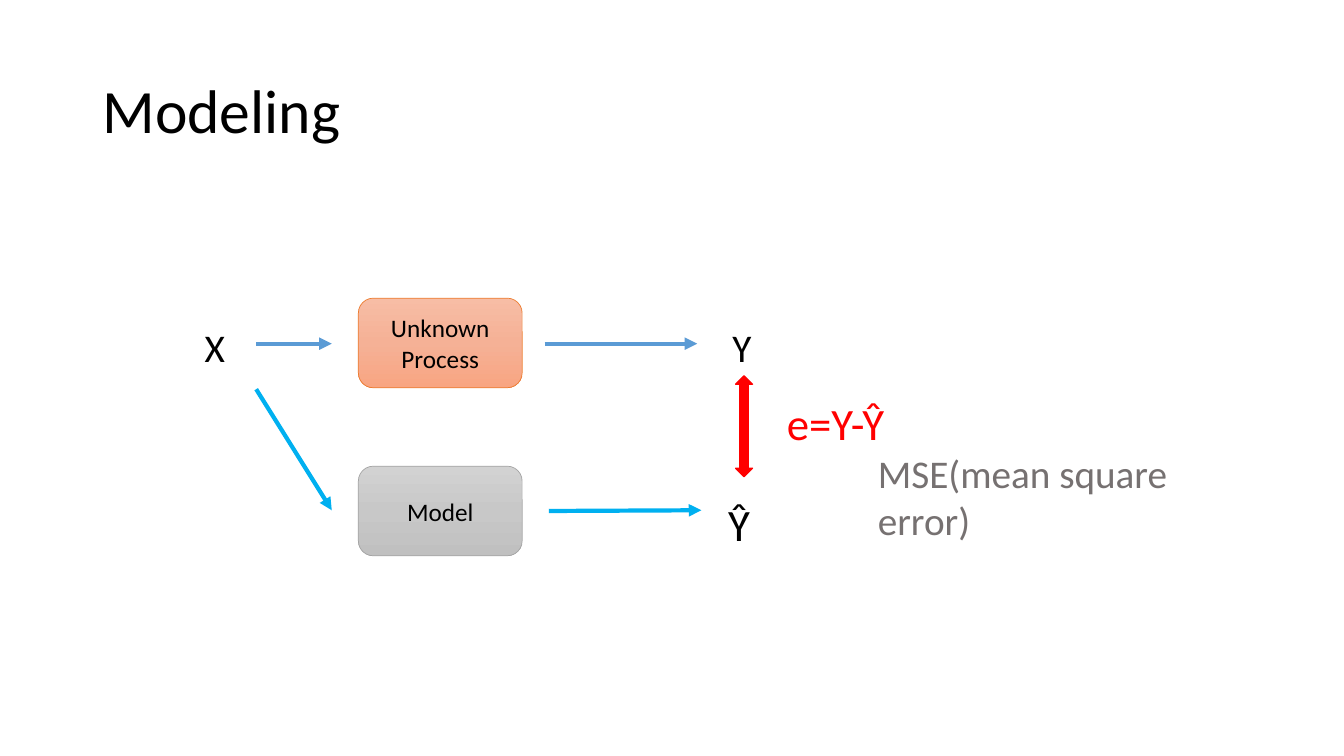
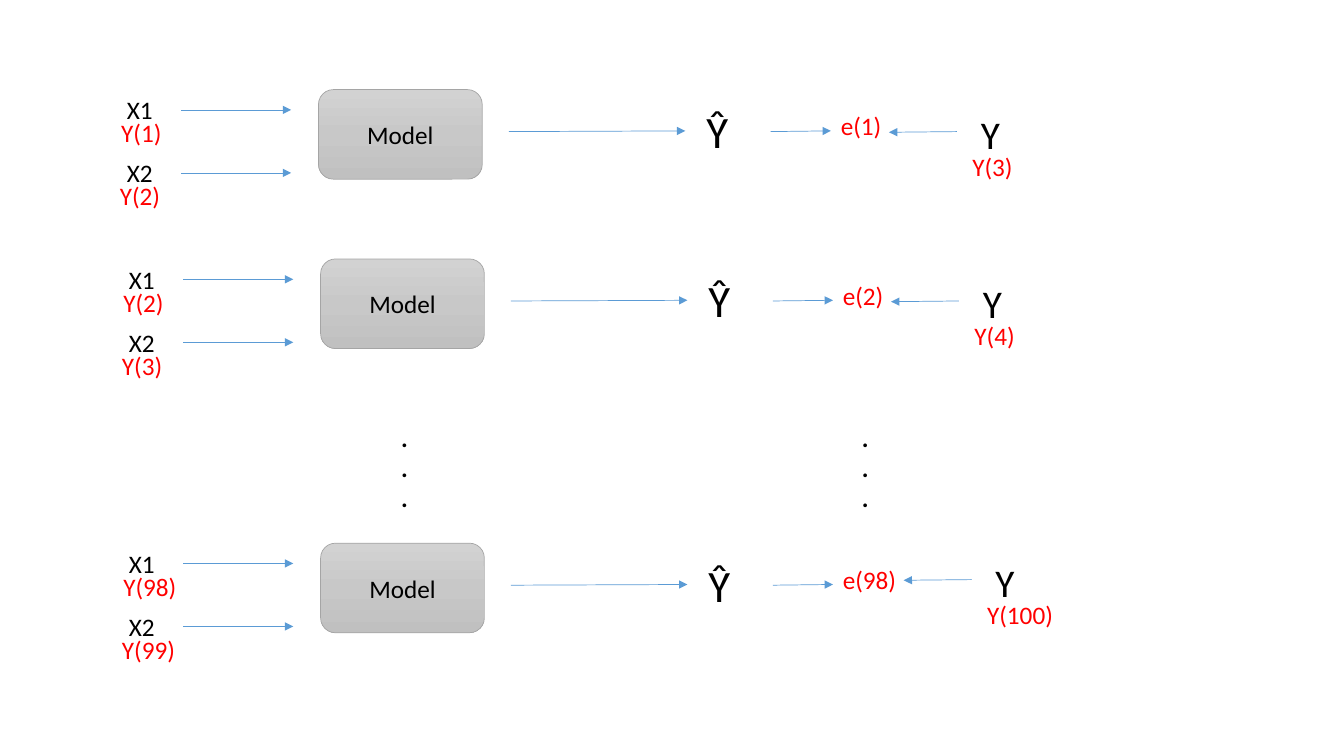
from copy import deepcopy

from pptx import Presentation
from pptx.dml.color import RGBColor
from pptx.enum.shapes import MSO_CONNECTOR as CONN, MSO_SHAPE as SHAPE
from pptx.enum.text import MSO_ANCHOR as ANCHOR, MSO_AUTO_SIZE as AUTO, PP_ALIGN as ALIGN
from pptx.oxml.ns import qn
from pptx.oxml.xmlchemy import OxmlElement
from pptx.util import Pt

BLACK = RGBColor(0x00, 0x00, 0x00)
RED = RGBColor(0xFF, 0x00, 0x00)
GRAY = RGBColor(0x76, 0x71, 0x71)
BLUE = RGBColor(0x5B, 0x9B, 0xD5)
SKY = RGBColor(0x00, 0xB0, 0xF0)
ORANGE_LINE = RGBColor(0xED, 0x7D, 0x31)
ORANGE_FILL = (RGBColor(0xF7, 0xBD, 0xA5), RGBColor(0xF5, 0xB1, 0x96), RGBColor(0xF8, 0xA5, 0x82))
SILVER_LINE = RGBColor(0xA5, 0xA5, 0xA5)
SILVER_FILL = (RGBColor(0xD2, 0xD2, 0xD2), RGBColor(0xC8, 0xC8, 0xC8), RGBColor(0xC0, 0xC0, 0xC0))

FONT = "Calibri"
BOX_W, BOX_H = 117, 64
TITLE_ONLY, BLANK = 5, 6


class Deck:
    """Holds the style and the current slide, and draws each kind of element."""

    def __init__(self):
        self.prs = Presentation()
        self.prs.slide_width, self.prs.slide_height = Pt(960), Pt(540)
        self.s = None

    def slide(self, title=None):
        layout = self.prs.slide_layouts[TITLE_ONLY if title else BLANK]
        self.s = self.prs.slides.add_slide(layout)
        if title:
            sp = self.s.shapes.title
            sp.left, sp.top, sp.width, sp.height = Pt(66), Pt(29), Pt(828), Pt(104)
            tf = sp.text_frame
            self.set_text(tf, title, 44, align=ALIGN.LEFT)
            tf.auto_size = AUTO.NONE
            tf.vertical_anchor = ANCHOR.MIDDLE
            tf.paragraphs[0].line_spacing = 0.9

    def set_text(self, tf, text, size, color=BLACK, align=None, bold=None):
        tf.text = text
        for p in tf.paragraphs:
            p.alignment = align
            for r in p.runs:
                r.font.name, r.font.size, r.font.bold = FONT, Pt(size), bold
                r.font.color.rgb = color

    def text(self, x, y, w, h, text, size=18, color=BLACK, wrap=False, bold=None):
        tf = self.s.shapes.add_textbox(Pt(x), Pt(y), Pt(w), Pt(h)).text_frame
        tf.word_wrap = wrap
        self.set_text(tf, text, size, color, ALIGN.LEFT, bold)

    def label(self, x, y, text):
        self.text(x, y, 8 + 9 * len(text), 29, text, color=RED)

    def shape(self, kind, x, y, w, h, line, width):
        sp = self.s.shapes.add_shape(kind, Pt(x), Pt(y), Pt(w), Pt(h))
        sp.shadow.inherit = False
        sp.line.color.rgb, sp.line.width = line, Pt(width)
        return sp

    def box(self, x, y, text="Model", colors=SILVER_FILL, line=SILVER_LINE):
        sp = self.shape(SHAPE.ROUNDED_RECTANGLE, x, y, BOX_W, BOX_H, line, 0.5)
        sp.fill.gradient()
        sp.fill.gradient_angle = 270
        stops = next(sp._element.iter(qn("a:gsLst")))
        stops.insert(1, deepcopy(stops[0]))
        for stop, position, color in zip(sp.fill.gradient_stops, (0, 0.5, 1), colors):
            stop.position, stop.color.rgb = position, color
        sp.text_frame.vertical_anchor = ANCHOR.MIDDLE
        self.set_text(sp.text_frame, text, 18, align=ALIGN.CENTER)

    def double_arrow(self, x, y, w, h, color):
        sp = self.shape(SHAPE.UP_DOWN_ARROW, x, y, w, h, color, 1)
        sp.fill.solid()
        sp.fill.fore_color.rgb = color

    def arrow(self, x1, y1, x2, y2, color=BLUE, width=0.5):
        c = self.s.shapes.add_connector(CONN.STRAIGHT, Pt(x1), Pt(y1), Pt(x2), Pt(y2))
        c.line.color.rgb, c.line.width = color, Pt(width)
        tail = OxmlElement("a:tailEnd")
        tail.set("type", "triangle")
        c.line._get_or_add_ln().append(tail)
        c._element.spPr.append(OxmlElement("a:effectLst"))

    def model_row(self, x, y, n, dx=0, dy=0):
        for i in range(2):
            top = y + 45 * i
            self.text(x - 144, top, 33, 29, f"X{i + 1}")
            self.label(x - 148 - i, top + 16.5, f"Y({n + i})")
            self.arrow(x - 98, top + 14.5, x - 19.5, top + 14.5)
        self.box(x, y)
        self.arrow(x + 136, y + 30, x + 262, y + 29.5)
        self.text(x + 270, y + 6.5, 36, 46, "Ŷ", 32)
        self.arrow(x + 323, y + 30, x + 366, y + 29.5)
        self.label(x + 366, y + 11.5, f"e({n})")
        x, y = x + dx, y + dy
        self.arrow(x + 456, y + 30, x + 407.5, y + 30.5)
        self.text(x + 466, y + 11, 33, 41, "Y", 28)
        self.label(x + 460, y + 40.5, f"Y({n + 2})")


def modeling(deck):
    deck.slide("Modeling")
    deck.box(256, 213, "Unknown\nProcess", ORANGE_FILL, ORANGE_LINE)
    deck.box(256, 333)
    deck.text(139, 227.5, 34.5, 41, "X", 28)
    deck.arrow(183, 245.5, 237, 245.5, BLUE, 3)
    deck.arrow(389, 245.5, 498, 245.5, BLUE, 3)
    deck.text(516, 227.5, 33, 41, "Y", 28)
    deck.arrow(183, 278, 237, 364.5, SKY, 3)
    deck.arrow(392, 365, 501, 364.5, SKY, 3)
    deck.text(513, 351, 36, 46, "Ŷ", 32)
    deck.double_arrow(525.5, 268.5, 12, 72, RED)
    deck.text(555, 279, 99, 46, "e=Y-Ŷ", 32, RED)
    deck.text(620, 317.5, 286.5, 41, "MSE(mean square error)", 28, GRAY, wrap=True)


def errors(deck):
    deck.slide()
    deck.model_row(227.5, 64, 1)
    deck.model_row(229, 185, 2)
    for x in (279.5, 608.5):
        deck.text(x, 298, 39, 117, ".\n.\n.", wrap=True, bold=True)
    deck.model_row(229, 388, 98, dx=9, dy=-4)


def main():
    deck = Deck()
    modeling(deck)
    errors(deck)
    deck.prs.save("out.pptx")


if __name__ == "__main__":
    main()
